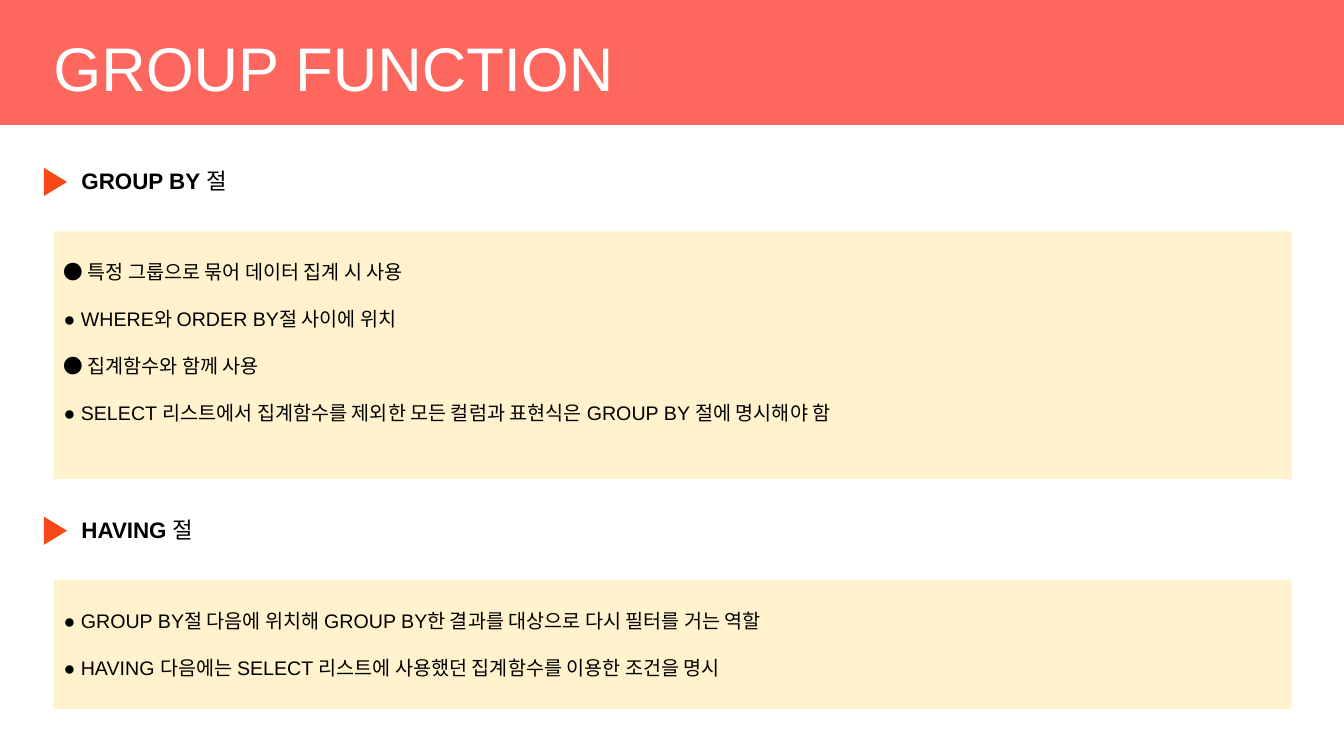
"""Build the GROUP FUNCTION slide: two headed sections, each with a tinted panel of points."""
from dataclasses import dataclass

from pptx import Presentation
from pptx.dml.color import RGBColor
from pptx.enum.shapes import MSO_SHAPE
from pptx.enum.text import MSO_ANCHOR, MSO_AUTO_SIZE, PP_ALIGN
from pptx.oxml.ns import qn
from pptx.oxml.xmlchemy import OxmlElement
from pptx.shapes.autoshape import Shape
from pptx.slide import Slide
from pptx.text.text import _Run as Run
from pptx.util import Emu, Inches, Pt

COLUMNS, ROWS = 133.3, 75
CELL = Inches(0.1)


@dataclass(frozen=True)
class Theme:
    font: str = "Arial"
    banner: RGBColor = RGBColor(0xFD, 0x67, 0x5D)
    panel: RGBColor = RGBColor(0xFF, 0xF2, 0xCC)
    marker: RGBColor = RGBColor(0xF8, 0x48, 0x18)
    light: RGBColor = RGBColor(0xFF, 0xFF, 0xFF)
    dark: RGBColor = RGBColor(0, 0, 0)
    title_size: float = 44
    heading_size: float = 16
    point_size: float = 14
    point_pitch: float = 33.6


@dataclass(frozen=True)
class Area:
    column: float
    row: float
    width: float
    height: float

    def box(self) -> tuple[Emu, Emu, Emu, Emu]:
        cells = (self.column, self.row, self.width, self.height)
        left, top, width, height = (Emu(round(cell * CELL)) for cell in cells)
        return left, top, width, height


@dataclass(frozen=True)
class Section:
    keyword: str
    row: float
    panel_height: float
    points: tuple[str, ...]


THEME = Theme()
SECTIONS = (
    Section("GROUP BY", 16.1, 24.6, (
        "특정 그룹으로 묶어 데이터 집계 시 사용",
        "WHERE와 ORDER BY절 사이에 위치",
        "집계함수와 함께 사용",
        "SELECT 리스트에서 집계함수를 제외한 모든 컬럼과 표현식은 GROUP BY 절에 명시해야 함",
    )),
    Section("HAVING", 50.7, 12.8, (
        "GROUP BY절 다음에 위치해 GROUP BY한 결과를 대상으로 다시 필터를 거는 역할",
        "HAVING 다음에는 SELECT 리스트에 사용했던 집계함수를 이용한 조건을 명시",
    )),
)


def place(shape: Shape, area: Area) -> None:
    shape.left, shape.top, shape.width, shape.height = area.box()


def style_run(run: Run, size: float, color: RGBColor, bold: bool = False) -> None:
    run.font.name = THEME.font
    run.font.size = Pt(size)
    run.font.bold = bold
    run.font.color.rgb = color


def draw_solid(slide: Slide, preset: MSO_SHAPE, area: Area, color: RGBColor) -> Shape:
    solid = slide.shapes.add_shape(preset, *area.box())
    solid.shadow.inherit = False
    solid.fill.solid()
    solid.fill.fore_color.rgb = color
    solid.line.fill.background()
    return solid


def draw_title(slide: Slide, wording: str) -> None:
    banner = draw_solid(slide, MSO_SHAPE.RECTANGLE, Area(0, 0, COLUMNS, 12.4), THEME.banner)
    title = slide.shapes.title
    title._element.addprevious(banner._element)
    place(title, Area(4.3, 3, 115, 7.8))
    frame = title.text_frame
    frame.text = wording
    frame.auto_size = MSO_AUTO_SIZE.NONE
    frame.vertical_anchor = MSO_ANCHOR.BOTTOM
    frame.paragraphs[0].alignment = PP_ALIGN.LEFT
    style_run(frame.paragraphs[0].runs[0], THEME.title_size, THEME.light)


def draw_heading(slide: Slide, section: Section) -> None:
    heading = slide.shapes.add_textbox(*Area(7.1, section.row, 92.5, 3.7).box())
    heading.text_frame.word_wrap = True
    line = heading.text_frame.paragraphs[0]
    line.text = f"{section.keyword} "
    line.add_run().text = "절"
    keyword, clause = line.runs
    style_run(keyword, THEME.heading_size, THEME.dark, bold=True)
    style_run(clause, THEME.heading_size, THEME.dark)
    marker_area = Area(4.1, section.row + 0.8, 2.8, 2.3)
    draw_solid(slide, MSO_SHAPE.FLOWCHART_EXTRACT, marker_area, THEME.marker).rotation = 90


def fill_panel(panel: Shape, section: Section) -> None:
    place(panel, Area(5.3, section.row + 6.85, 122.8, section.panel_height))
    panel.fill.solid()
    panel.fill.fore_color.rgb = THEME.panel
    frame = panel.text_frame
    frame.text = "\n".join(f"● {point}" for point in section.points)
    frame.auto_size = MSO_AUTO_SIZE.NONE
    frame.vertical_anchor = MSO_ANCHOR.TOP
    for point in frame.paragraphs:
        point.alignment = PP_ALIGN.LEFT
        point.space_before = point.space_after = Pt(0)
        point.line_spacing = Pt(THEME.point_pitch)
        properties = point._p.get_or_add_pPr()
        properties.set("marL", "0")
        properties.set("indent", "0")
        properties.insert_element_before(OxmlElement("a:buNone"), "a:tabLst", "a:defRPr")
        style_run(point.runs[0], THEME.point_size, THEME.dark)


def main() -> None:
    deck = Presentation()
    deck.slide_width, deck.slide_height = round(COLUMNS * CELL), ROWS * CELL
    two_content = deck.slide_layouts.get_by_name("Two Content")
    slide = deck.slides.add_slide(two_content)
    draw_title(slide, "GROUP FUNCTION")
    panels = [holder for holder in slide.placeholders if holder.placeholder_format.idx > 0]
    for panel, section in zip(panels, SECTIONS):
        fill_panel(panel, section)
        draw_heading(slide, section)
    deck.save("out.pptx")


if __name__ == "__main__":
    main()
